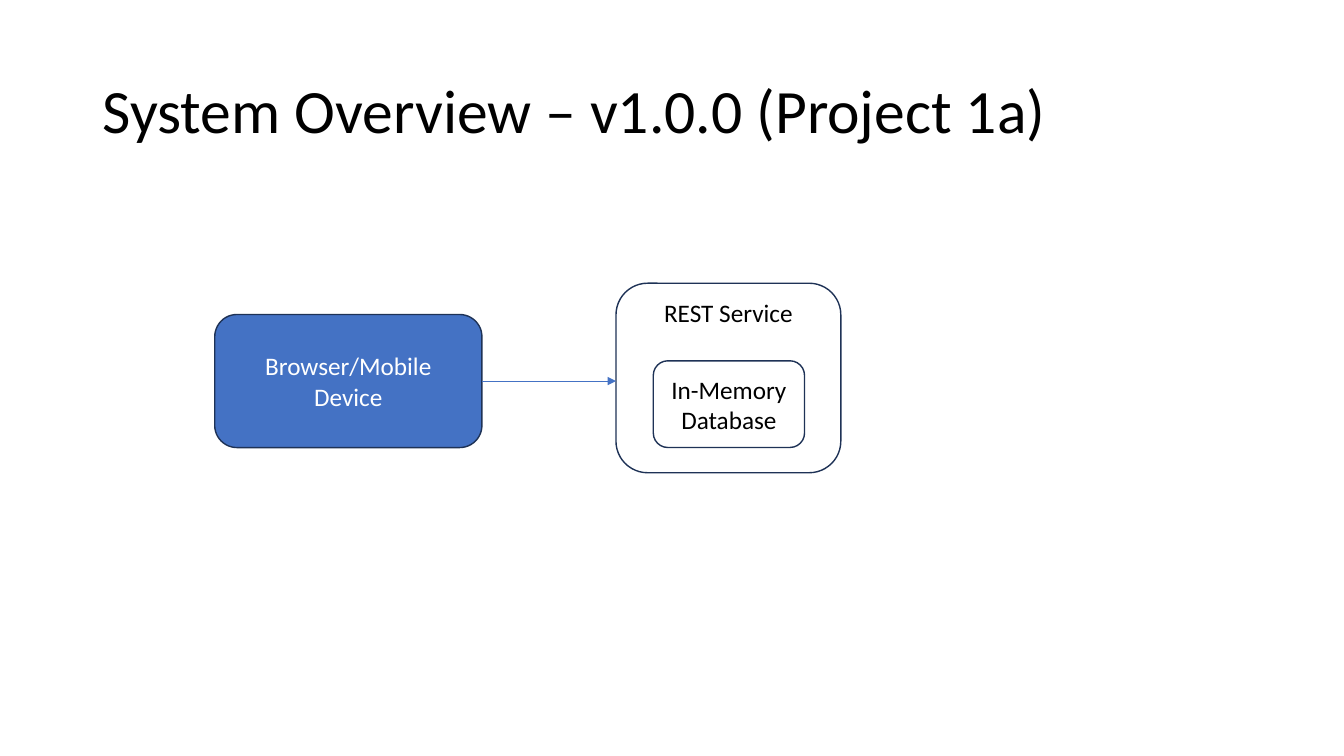
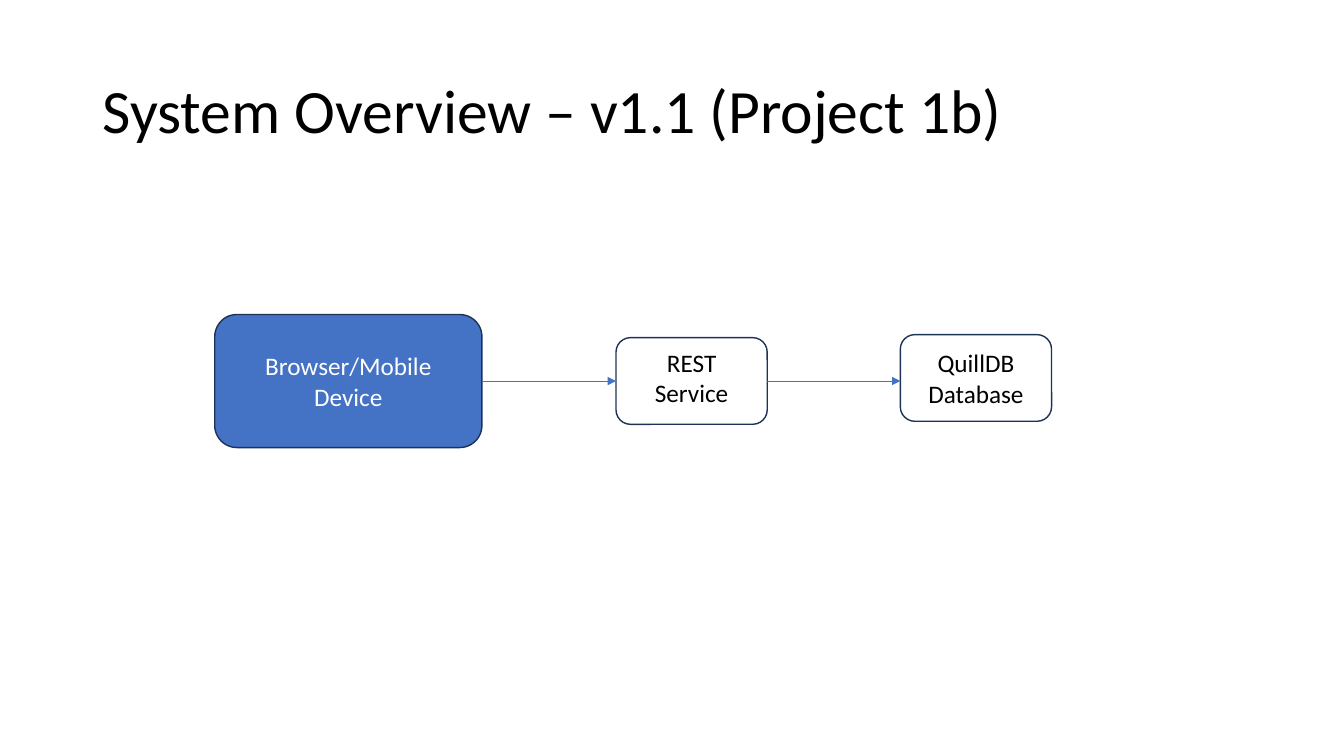
from pptx import Presentation
from pptx.dml.color import RGBColor
from pptx.enum.shapes import MSO_CONNECTOR, MSO_SHAPE
from pptx.enum.text import MSO_ANCHOR, PP_ALIGN
from pptx.oxml.ns import qn
from pptx.util import Inches, Pt
from lxml import etree

ROUNDED = MSO_SHAPE.ROUNDED_RECTANGLE
STRAIGHT = MSO_CONNECTOR.STRAIGHT
TOP, MIDDLE = MSO_ANCHOR.TOP, MSO_ANCHOR.MIDDLE
LEFT, CENTER = PP_ALIGN.LEFT, PP_ALIGN.CENTER
LEFT_SIDE, RIGHT_SIDE = 1, 3

BLUE, NAVY, WHITE, BLACK = "4472C4", "1E3256", "FFFFFF", "000000"
FONT = "Calibri"
SMALL_BOX = (1.5, 0.86)


def rgb(value):
    return RGBColor.from_string(value)


class Deck:
    """Shared style plus the slide being drawn."""

    def __init__(self):
        self.prs = Presentation()
        self.prs.slide_width, self.prs.slide_height = Inches(13.33), Inches(7.5)
        self.slide = None

    def new_slide(self, title):
        self.slide = self.prs.slides.add_slide(self.prs.slide_layouts[6])
        heading = self.slide.shapes.add_textbox(
            Inches(0.92), Inches(0.4), Inches(11.5), Inches(1.45))
        self.put_text(heading, [title], 44, BLACK, LEFT, MIDDLE)
        heading.text_frame.paragraphs[0].line_spacing = 0.9

    def put_text(self, shape, lines, size, color, align, anchor):
        frame = shape.text_frame
        frame.word_wrap = True
        frame.vertical_anchor = anchor
        for number, line in enumerate(lines):
            paragraph = frame.add_paragraph() if number else frame.paragraphs[0]
            paragraph.alignment = align
            run = paragraph.add_run()
            run.text = line
            run.font.name = FONT
            run.font.size = Pt(size)
            run.font.color.rgb = rgb(color)

    def box(self, left, top, size, lines, fill=WHITE, color=BLACK, anchor=MIDDLE):
        width, height = size
        shape = self.slide.shapes.add_shape(
            ROUNDED, Inches(left), Inches(top), Inches(width), Inches(height))
        shape.shadow.inherit = False
        shape.fill.solid()
        shape.fill.fore_color.rgb = rgb(fill)
        shape.line.color.rgb = rgb(NAVY)
        shape.line.width = Pt(1)
        self.put_text(shape, lines, 18, color, CENTER, anchor)
        return shape

    def arrow(self, source, target):
        """Level arrow from the source's right side to the target's left edge."""
        level = source.top + source.height // 2
        link = self.slide.shapes.add_connector(
            STRAIGHT, source.left + source.width, level, target.left, level)
        link.begin_connect(source, RIGHT_SIDE)
        if abs(target.top + target.height // 2 - level) < Inches(0.01):
            link.end_connect(target, LEFT_SIDE)
        link.line.color.rgb = rgb(BLUE)
        link.line.width = Pt(0.5)
        properties = link._element.spPr
        etree.SubElement(properties.find(qn("a:ln")), qn("a:tailEnd"), type="triangle")
        etree.SubElement(properties, qn("a:effectLst"))

    def client(self):
        return self.box(2.13, 3.12, (2.65, 1.32), ["Browser/Mobile", "Device"],
                        fill=BLUE, color=WHITE)

    def service(self, top, size):
        return self.box(6.11, top, size, ["REST Service"], anchor=TOP)


def main():
    deck = Deck()

    # Version 1.0.0: database inside the service
    deck.new_slide("System Overview – v1.0.0 (Project 1a)")
    service = deck.service(2.81, (2.23, 1.88))
    deck.arrow(deck.client(), service)
    deck.box(6.48, 3.58, SMALL_BOX, ["In-Memory", "Database"])

    # Version 1.1: separate database
    deck.new_slide("System Overview – v1.1 (Project 1b)")
    service = deck.service(3.35, SMALL_BOX)
    deck.arrow(deck.client(), service)
    database = deck.box(8.93, 3.32, SMALL_BOX, ["QuillDB", "Database"])
    deck.arrow(service, database)

    deck.prs.save("out.pptx")


if __name__ == "__main__":
    main()
